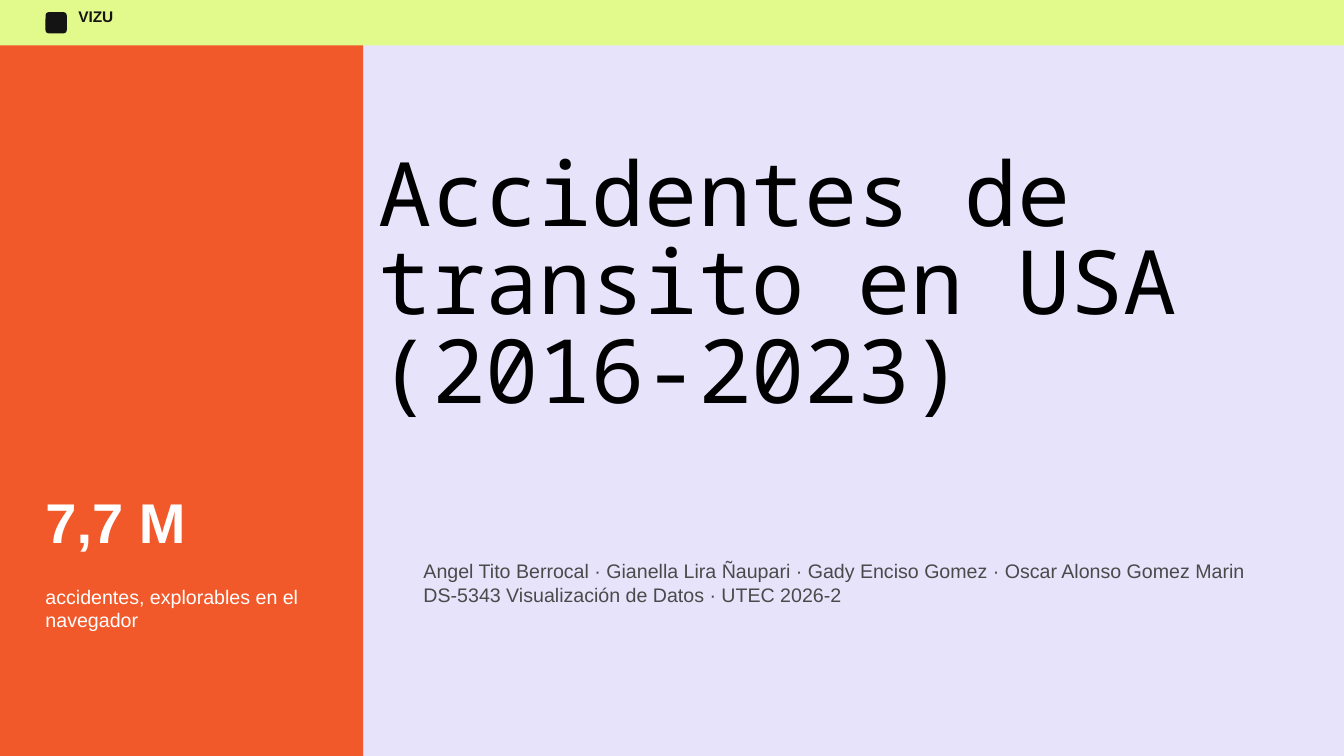
from pptx import Presentation
from pptx.dml.color import RGBColor
from pptx.enum.shapes import MSO_SHAPE as Shape
from pptx.enum.text import MSO_AUTO_SIZE as AutoSize
from pptx.util import Pt

SLIDE_WIDTH, SLIDE_HEIGHT = 1440, 810
BLEED = 1.2
MARGIN = 48.75


def color(value):
    return RGBColor.from_string(value)


class Cover:
    lilac = "E7E3FB"
    orange = "F2592A"
    lime = "E2F98C"
    ink = "141414"
    gray = "4A4A4A"
    white = "FFFFFF"
    black = "000000"
    sans = "Arial"
    mono = "Noto Sans Mono"

    def __init__(self, slide):
        self.slide = slide

    def block(self, left, top, width, height, fill, radius=0):
        kind = Shape.ROUNDED_RECTANGLE if radius else Shape.RECTANGLE
        block = self.slide.shapes.add_shape(
            kind, Pt(left), Pt(top), Pt(width), Pt(height))
        if radius:
            block.adjustments[0] = radius / min(width, height)
        block.shadow.inherit = False
        block.fill.solid()
        block.fill.fore_color.rgb = color(fill)
        block.line.fill.background()

    def text(self, left, top, width, height, words, size, ink,
             font=sans, bold=False, leading=1.2):
        box = self.slide.shapes.add_textbox(
            Pt(left), Pt(top), Pt(width), Pt(height))
        frame = box.text_frame
        frame.margin_left = frame.margin_right = 0
        frame.margin_top = frame.margin_bottom = 0
        frame.word_wrap = True
        frame.auto_size = AutoSize.SHAPE_TO_FIT_TEXT
        frame.text = words
        for paragraph in frame.paragraphs:
            paragraph.line_spacing = Pt(size * leading)
            for run in paragraph.runs:
                run.font.name = font
                run.font.size = Pt(size)
                run.font.bold = bold
                run.font.color.rgb = color(ink)


def main():
    deck = Presentation()
    deck.slide_width, deck.slide_height = Pt(SLIDE_WIDTH), Pt(SLIDE_HEIGHT)
    cover = Cover(deck.slides.add_slide(deck.slide_layouts[6]))

    full_width, full_height = SLIDE_WIDTH + BLEED, SLIDE_HEIGHT + BLEED
    cover.block(0, 0, full_width, full_height, cover.lilac)
    cover.block(0, 0, 389, full_height, cover.orange)
    cover.block(0, 0, full_width, 48.75, cover.lime)
    cover.block(MARGIN, 13, 22.75, 22.75, cover.ink, radius=3.5)

    cover.text(84, 8, 216, 34, "VIZU", 16.5, cover.ink, bold=True)
    cover.text(453.75, 599, 929.5, 98,
               "Angel Tito Berrocal · Gianella Lira Ñaupari · "
               "Gady Enciso Gomez · Oscar Alonso Gomez Marin\n"
               "DS-5343 Visualización de Datos · UTEC 2026-2",
               21, cover.gray)
    cover.text(MARGIN, 522, 324, 99, "7,7 M", 60, cover.white, bold=True)
    cover.text(MARGIN, 626.25, 302.5, 98,
               "accidentes, explorables en el navegador", 21, cover.white)
    cover.text(406, 166.5, 1034, 382,
               "Accidentes de transito en USA (2016-2023)",
               95, cover.black, font=cover.mono, leading=1)

    deck.save("out.pptx")


if __name__ == "__main__":
    main()
